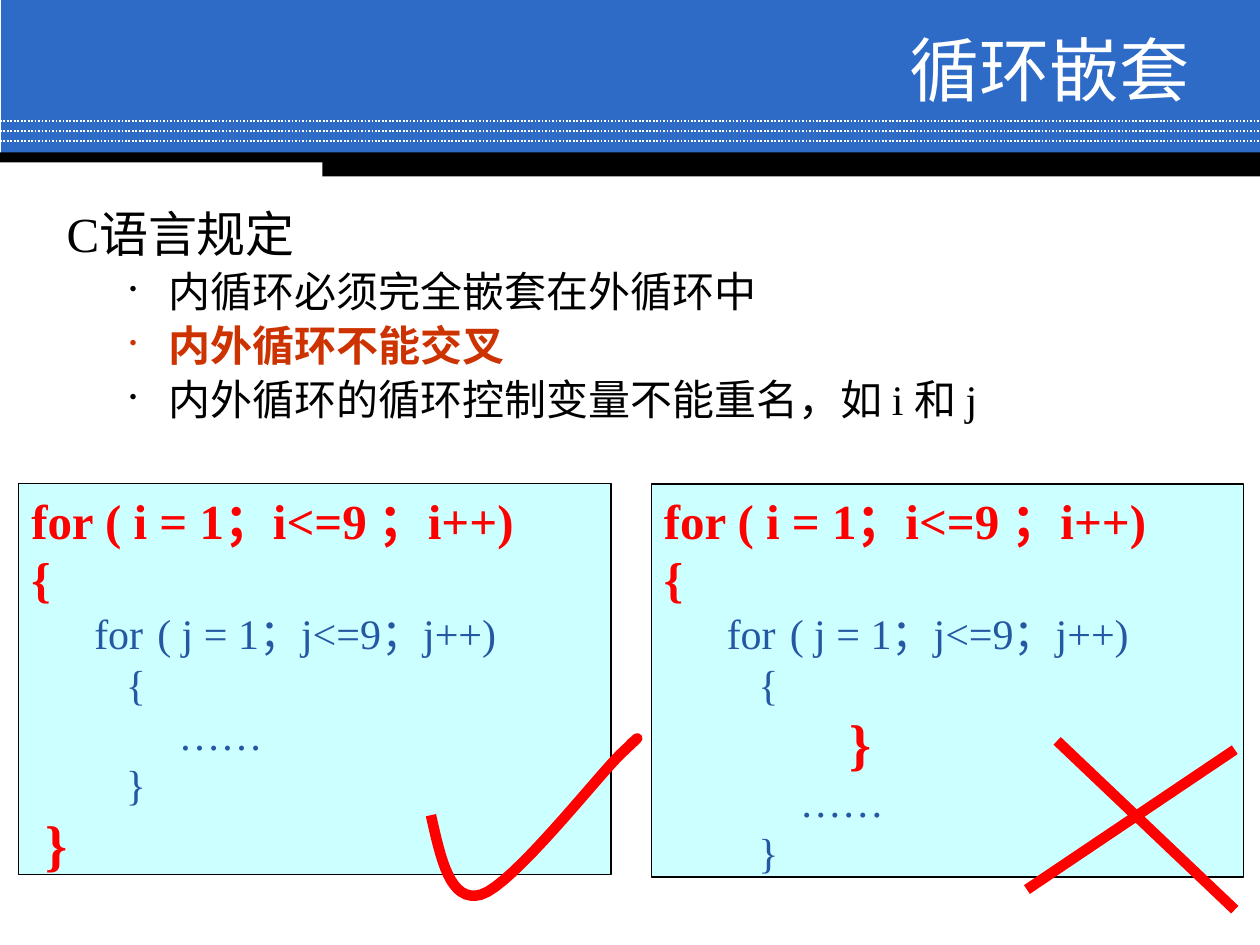
from lxml import etree
from pptx import Presentation
from pptx.dml.color import RGBColor
from pptx.enum.dml import MSO_LINE
from pptx.enum.shapes import MSO_CONNECTOR, MSO_SHAPE
from pptx.enum.text import MSO_ANCHOR, PP_ALIGN
from pptx.oxml.ns import qn
from pptx.util import Emu, Pt

SCALE = 9144
STRAIGHT = MSO_CONNECTOR.STRAIGHT
RECTANGLE = MSO_SHAPE.RECTANGLE
DOTTED = MSO_LINE.ROUND_DOT
TOP, MIDDLE = MSO_ANCHOR.TOP, MSO_ANCHOR.MIDDLE
LEFT, RIGHT = PP_ALIGN.LEFT, PP_ALIGN.RIGHT

WHITE = RGBColor(0xFF, 0xFF, 0xFF)
BLACK = RGBColor(0, 0, 0)
BANNER_BLUE = RGBColor(0x2D, 0x6B, 0xC7)
PALE_CYAN = RGBColor(0xCC, 0xFF, 0xFF)
RED = RGBColor(0xFF, 0, 0)
CODE_BLUE = RGBColor(0x25, 0x58, 0xA3)
ORANGE = RGBColor(0xCC, 0x33, 0)

LATIN = "Times New Roman"
CHINESE = "Noto Sans CJK SC"

OUTER = {"size": 28, "color": RED, "bold": True}
INNER = {"size": 24, "color": CODE_BLUE}
BRACE = {"size": 32, "color": RED, "bold": True}
LOOP_HEAD = [
    ("for ( i = 1；i<=9 ；i++)", 0, OUTER),
    ("{", 0, OUTER),
    ("for\t( j = 1；j<=9；j++)", 50, {**INNER, "tab": 114}),
    ("{", 75, INNER),
]
NESTED_CODE = LOOP_HEAD + [("……", 117, INNER), ("}", 75, INNER), ("}", 11, BRACE)]
CROSSED_CODE = LOOP_HEAD + [("}", 147, BRACE), ("……", 108, INNER), ("}", 75, INNER)]
RULES = [
    ("内循环必须完全嵌套在外循环中", {}),
    ("内外循环不能交叉", {"color": ORANGE, "bold": True}),
    ("内外循环的循环控制变量不能重名，如 i 和 j", {}),
]


def px(length):
    return Emu(length * SCALE)


def add_rectangle(slide, left, top, width, height, fill, outline=None):
    shape = slide.shapes.add_shape(RECTANGLE, px(left), px(top), px(width), px(height))
    shape.shadow.inherit = False
    shape.fill.solid()
    shape.fill.fore_color.rgb = fill
    if outline is None:
        shape.line.fill.background()
    else:
        shape.line.color.rgb = outline
        shape.line.width = Pt(0.75)
    return shape


def add_line(slide, start, end, color, width, dash=None):
    connector = slide.shapes.add_connector(STRAIGHT, *map(px, start + end))
    connector.line.color.rgb = color
    connector.line.width = Pt(width)
    if dash is not None:
        connector.line.dash_style = dash
    etree.SubElement(connector._element.spPr, qn("a:effectLst"))


def add_text_box(slide, left, top, width, height, anchor=TOP):
    frame = slide.shapes.add_textbox(px(left), px(top), px(width), px(height)).text_frame
    frame.word_wrap = True
    frame.vertical_anchor = anchor
    return frame


def add_text(frame, text, size=24, color=BLACK, bold=False, font=LATIN, align=LEFT,
             margin=0, hanging=0, tab=None, bullet=False, line_spacing=None, before=0):
    paragraph = frame.paragraphs[0]
    if paragraph.runs:
        paragraph = frame.add_paragraph()
    paragraph.alignment = align
    paragraph.space_before = Pt(before)
    if line_spacing:
        paragraph.line_spacing = line_spacing
    properties = paragraph._p.get_or_add_pPr()
    properties.set("marL", str(px(margin)))
    properties.set("indent", str(px(-hanging)))
    if bullet:
        etree.SubElement(properties, qn("a:buSzPct"), val="50000")
        etree.SubElement(properties, qn("a:buChar"), char="•")
    if tab:
        stops = etree.SubElement(properties, qn("a:tabLst"))
        etree.SubElement(stops, qn("a:tab"), pos=str(px(tab)), algn="l")
    run = paragraph.add_run()
    run.text = text
    run.font.size = Pt(size)
    run.font.bold = bold
    run.font.color.rgb = color
    run.font.name = font
    etree.SubElement(run._r.get_or_add_rPr(), qn("a:ea"), typeface=CHINESE)


def add_banner(slide, left, top, width):
    add_rectangle(slide, left + 1, top, width - 1, 123, BANNER_BLUE)
    for offset in range(96, 113, 8):
        add_line(slide, (left, top + offset), (left + width, top + offset), WHITE, 1, DOTTED)
    add_rectangle(slide, left, top + 121, width, 8, BLACK)
    add_rectangle(slide, left + 256, top + 124, width - 256, 16, BLACK)
    title = add_text_box(slide, left + 275, top + 25, 692, 58, MIDDLE)
    title.margin_right = px(23)
    add_text(title, "循环嵌套", size=40, color=WHITE, font=CHINESE, align=RIGHT)


def add_rules(slide, left, top, width, height):
    frame = add_text_box(slide, left, top, width, height)
    add_text(frame, "C语言规定", size=28, margin=38, hanging=38, line_spacing=0.9, before=5.6)
    for text, emphasis in RULES:
        add_text(frame, text, margin=81, hanging=31, bullet=True,
                 line_spacing=0.9, before=4.8, **emphasis)


def add_code_panel(slide, left, top, width, height, code):
    frame = add_rectangle(slide, left, top, width, height, PALE_CYAN, BLACK).text_frame
    frame.word_wrap = True
    frame.vertical_anchor = TOP
    for text, margin, style in code:
        add_text(frame, text, margin=margin, **style)


def curve_points(start, controls, steps=16):
    points = [start]
    for first, second, end in controls:
        for step in range(1, steps + 1):
            t = step / steps
            weights = ((1 - t) ** 3, 3 * t * (1 - t) ** 2, 3 * t * t * (1 - t), t ** 3)
            corners = (start, first, second, end)
            points.append(tuple(
                sum(weight * corner[axis] for weight, corner in zip(weights, corners))
                for axis in (0, 1)))
        start = end
    return points


def add_check_mark(slide, left, top):
    controls = [
        ((8, 102), (15, 137), (40, 130)),
        ((65, 122), (130, 39), (150, 19)),
        ((170, 0), (164, 6), (158, 11)),
    ]
    points = [(round((left + x) * SCALE), round((top + y) * SCALE))
              for x, y in curve_points((0, 67), controls)]
    builder = slide.shapes.build_freeform(*points[0])
    builder.add_line_segments(points[1:], close=False)
    shape = builder.convert_to_shape()
    shape.shadow.inherit = False
    shape.fill.background()
    shape.line.color.rgb = RED
    shape.line.width = Pt(6)


def add_cross_mark(slide, left, top, width, height):
    add_line(slide, (left + width, top + 7), (left, top + 118), RED, 6)
    add_line(slide, (left + 24, top), (left + width, top + height), RED, 6)


def main():
    presentation = Presentation()
    presentation.slide_width, presentation.slide_height = px(1000), px(750)
    slide = presentation.slides.add_slide(presentation.slide_layouts[6])
    add_banner(slide, 0, 0, 1000)
    add_rules(slide, 43, 162, 900, 189)
    add_code_panel(slide, 517, 384, 470, 312, CROSSED_CODE)
    add_code_panel(slide, 15, 384, 470, 310, NESTED_CODE)
    add_check_mark(slide, 342, 580)
    add_cross_mark(slide, 815, 588, 165, 134)
    presentation.save("out.pptx")


if __name__ == "__main__":
    main()
